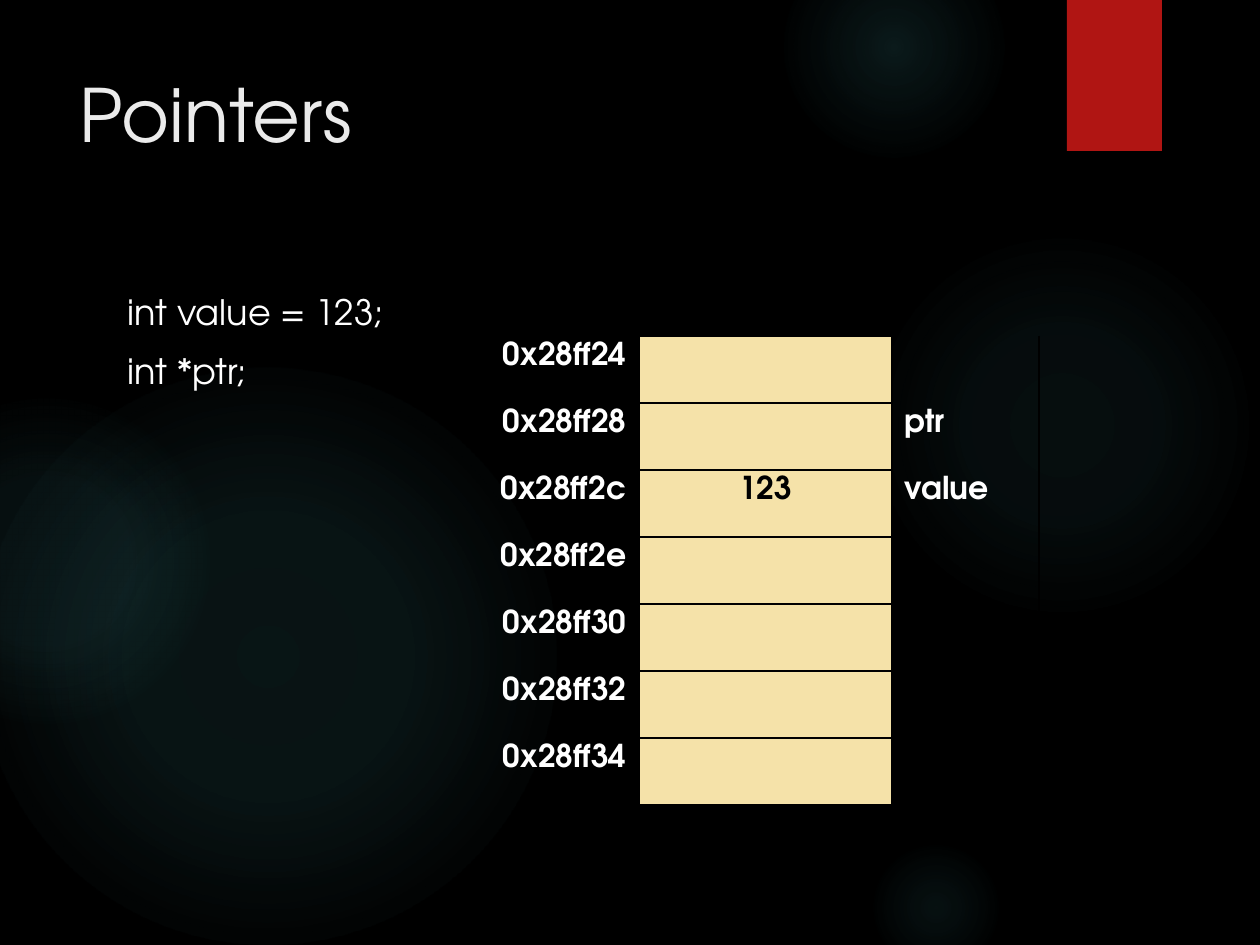
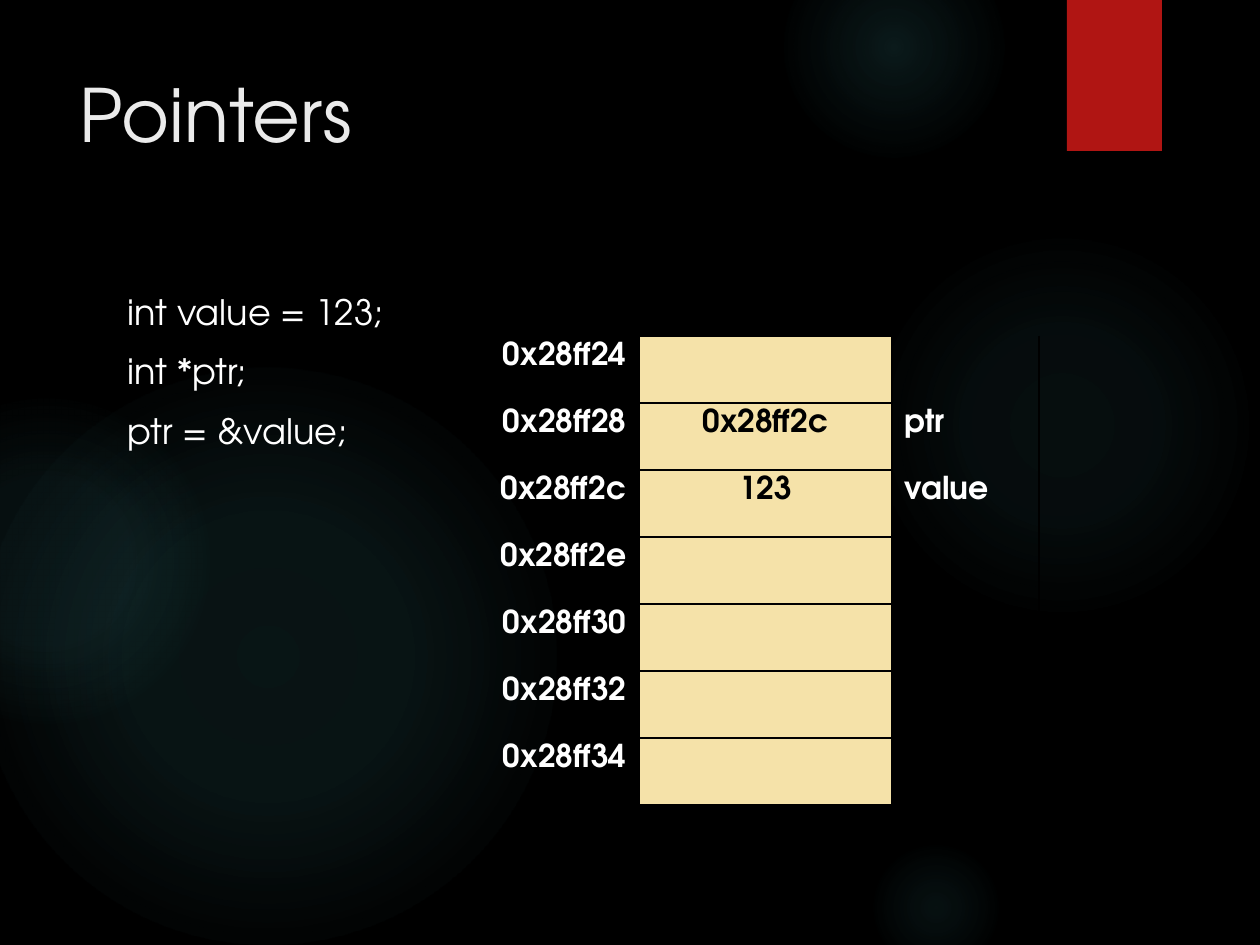
from lxml import etree
from pptx import Presentation
from pptx.dml.color import RGBColor
from pptx.enum.shapes import MSO_SHAPE
from pptx.enum.text import PP_ALIGN
from pptx.oxml import parse_xml
from pptx.oxml.ns import nsdecls, qn
from pptx.util import Emu, Pt

ELLIPSE, RECTANGLE = MSO_SHAPE.OVAL, MSO_SHAPE.RECTANGLE
LEFT, CENTER, RIGHT = PP_ALIGN.LEFT, PP_ALIGN.CENTER, PP_ALIGN.RIGHT

BLACK = RGBColor(0x00, 0x00, 0x00)
WHITE = RGBColor(0xFF, 0xFF, 0xFF)
TITLE_GREY = RGBColor(0xEB, 0xEB, 0xEB)
RED = RGBColor(0xB0, 0x15, 0x13)
TEAL = RGBColor(0x50, 0xB9, 0xC1)
SAND = RGBColor(0xF5, 0xE2, 0xA9)

FONT = "TeX Gyre Adventor"
PX_PER_INCH = 126
PLAIN_TABLE_STYLE = "{2D5ABB26-0587-4C30-8999-92F81FD0307C}"

SLIDE_SIZE = (1260, 945)
TITLE_BOX = (67, 63, 973, 193)
CODE_BOX = (115, 284, 357, 578)
MEMORY_BOX = (449, 336, 590, 469)
RIBBON_BOX = (1067, 0, 95, 151)

# left, top, diameter, then (position %, opacity %) from the centre outwards
GLOWS = [
    (868, 231, 388, [(0, 7), (36, 6), (69, 0)]),
    (784, -63, 220, [(0, 14), (36, 7), (73, 0)]),
    (868, 840, 136, [(0, 9), (36, 5), (66, 0)]),
    (-21, 368, 577, [(0, 11), (36, 10), (75, 0)]),
    (-116, 399, 325, [(0, 8), (36, 8), (72, 0)]),
]

ADDRESSES = ["0x28ff24", "0x28ff28", "0x28ff2c", "0x28ff2e",
             "0x28ff30", "0x28ff32", "0x28ff34"]
VARIABLES = {"0x28ff28": "ptr", "0x28ff2c": "value"}
MEMORY_COLUMNS = [  # width, alignment, text colour, fill, bordered sides
    (190, RIGHT, WHITE, None, "R"),
    (253, CENTER, BLACK, SAND, "LRTB"),
    (147, LEFT, WHITE, None, "LR"),
]

SLIDES = [
    (["int value = 123;", "int *ptr;"], {"value": "123"}),
    (["int value = 123;", "int *ptr;", "ptr = &value;"],
     {"value": "123", "ptr": "0x28ff2c"}),
]


def px(length):
    return Emu(round(length * 914400 / PX_PER_INCH))


def emu_box(box):
    return [px(length) for length in box]


def write(para, text, size, color, bold=False, align=LEFT, before=0):
    para.alignment = align
    para.space_before = Pt(before)
    span = para.add_run()
    span.text = text
    span.font.name = FONT
    span.font.size = Pt(size)
    span.font.bold = bold
    span.font.color.rgb = color


def add_text(page, box, lines, **style):
    frame = page.shapes.add_textbox(*emu_box(box)).text_frame
    frame.word_wrap = True
    for index, line in enumerate(lines):
        para = frame.add_paragraph() if index else frame.paragraphs[0]
        write(para, line, **style)


def add_plain_shape(page, kind, box):
    shape = page.shapes.add_shape(kind, *emu_box(box))
    shape.shadow.inherit = False
    shape.line.fill.background()
    return shape


def add_glow(page, left, top, diameter, stops):
    """Draw a circle whose teal fades out from its centre."""
    glow = add_plain_shape(page, ELLIPSE, (left, top, diameter, diameter))
    glow.fill.background()
    stop_xml = "".join(
        f'<a:gs pos="{position * 1000}"><a:srgbClr val="{TEAL}">'
        f'<a:alpha val="{opacity * 1000}"/></a:srgbClr></a:gs>'
        for position, opacity in stops)
    gradient = parse_xml(
        f'<a:gradFill {nsdecls("a")}><a:gsLst>{stop_xml}</a:gsLst>'
        '<a:path path="circle"><a:fillToRect l="50000" t="50000" r="50000" b="50000"/>'
        '</a:path></a:gradFill>')
    properties = glow.element.spPr
    properties.replace(properties.find(qn("a:noFill")), gradient)


def add_ribbon(page, box):
    ribbon = add_plain_shape(page, RECTANGLE, box)
    ribbon.fill.solid()
    ribbon.fill.fore_color.rgb = RED
    ribbon.element.spPr.find(qn("a:effectLst")).append(parse_xml(
        f'<a:outerShdw {nsdecls("a")} blurRad="{Pt(3)}" dist="{Pt(2)}" dir="5400000">'
        f'<a:srgbClr val="{BLACK}"><a:alpha val="45000"/></a:srgbClr></a:outerShdw>'))


def add_backdrop(page):
    page.background.fill.solid()
    page.background.fill.fore_color.rgb = BLACK
    for glow in GLOWS:
        add_glow(page, *glow)
    add_ribbon(page, RIBBON_BOX)


def set_borders(cell, sides):
    properties = cell._tc.get_or_add_tcPr()
    for index, side in enumerate(sides):
        border = etree.Element(qn(f"a:ln{side}"), w=str(Pt(1)))
        fill = etree.SubElement(border, qn("a:solidFill"))
        etree.SubElement(fill, qn("a:srgbClr"), val=str(BLACK))
        properties.insert(index, border)


def add_memory_table(page, box, contents):
    """Show address, content and variable name of each memory cell."""
    frame = page.shapes.add_table(len(ADDRESSES), len(MEMORY_COLUMNS), *emu_box(box))
    table = frame.table
    table.first_row = table.horz_banding = False
    next(frame.element.iter(qn("a:tableStyleId"))).text = PLAIN_TABLE_STYLE
    for column, (width, *_) in zip(table.columns, MEMORY_COLUMNS):
        column.width = px(width)
    for row, address in enumerate(ADDRESSES):
        table.rows[row].height = px(box[3] / len(ADDRESSES))
        name = VARIABLES.get(address, "")
        texts = [address, contents.get(name, ""), name]
        for column, (text, look) in enumerate(zip(texts, MEMORY_COLUMNS)):
            _, align, color, fill, sides = look
            cell = table.cell(row, column)
            if fill is None:
                cell.fill.background()
            else:
                cell.fill.solid()
                cell.fill.fore_color.rgb = fill
            set_borders(cell, sides)
            if text:
                write(cell.text_frame.paragraphs[0], text, size=18,
                      color=color, bold=True, align=align)


def add_pointer_slide(deck, code, contents):
    page = deck.slides.add_slide(deck.slide_layouts[6])
    add_backdrop(page)
    add_text(page, TITLE_BOX, ["Pointers"], size=42, color=TITLE_GREY)
    add_text(page, CODE_BOX, code, size=20, color=WHITE, before=10)
    add_memory_table(page, MEMORY_BOX, contents)


def main():
    deck = Presentation()
    deck.slide_width, deck.slide_height = emu_box(SLIDE_SIZE)
    for code, contents in SLIDES:
        add_pointer_slide(deck, code, contents)
    deck.save("out.pptx")


if __name__ == "__main__":
    main()
